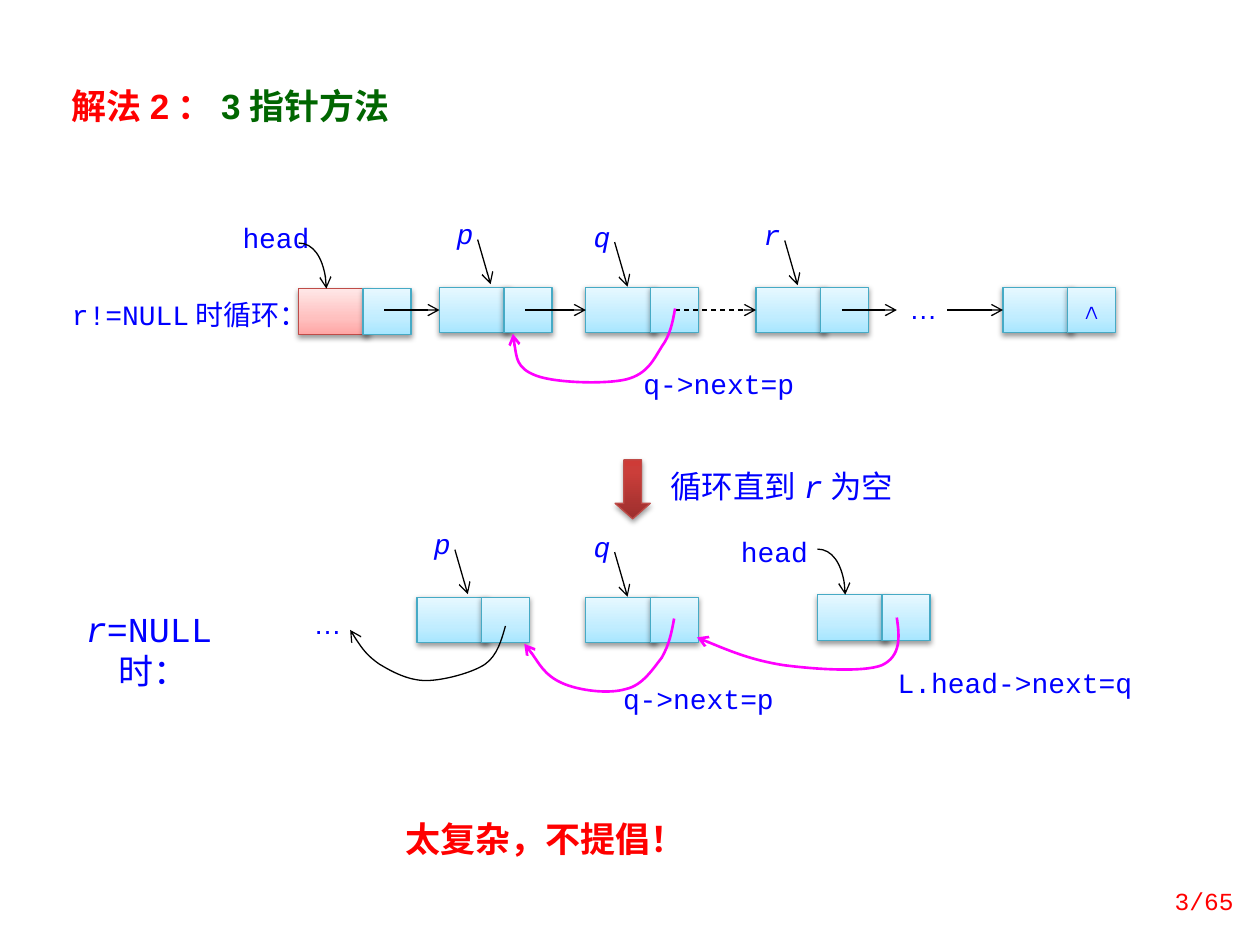
from copy import deepcopy
from dataclasses import dataclass

from lxml.etree import SubElement
from pptx import Presentation
from pptx.dml.color import RGBColor
from pptx.enum.dml import MSO_LINE_DASH_STYLE as Dash
from pptx.enum.shapes import MSO_CONNECTOR as Connector, MSO_SHAPE as Preset
from pptx.enum.text import MSO_ANCHOR as Anchor, PP_ALIGN as Align
from pptx.oxml.ns import qn
from pptx.util import Cm, Pt


@dataclass(frozen=True)
class Theme:
    """Colours, fonts and sizes of the slide."""
    red: str = "FF0000"
    green: str = "006600"
    blue: str = "0000FF"
    pink: str = "FF00FF"
    black: str = "000000"
    white: str = "FFFFFF"
    cell_edge: str = "46AAC5"
    head_edge: str = "BF4C48"
    cell_fill: tuple = ((0, "A7E6FF"), (0.35, "C1EDFF"), (1, "E7F8FF"))
    head_fill: tuple = ((0, "FFA6A5"), (0.35, "FFC0BF"), (1, "FFE7E7"))
    step_fill: tuple = ((0, "9C2F2D"), (0.8, "CB3E3A"), (1, "CE3B37"))
    code: str = "Courier New"
    sans: str = "Arial"
    cjk: str = "Noto Sans CJK SC"
    heading: int = 20
    note: int = 18
    body: int = 16
    footer: int = 14


THEME = Theme()


@dataclass
class Run:
    """A stretch of text in one style."""
    text: str
    size: int = THEME.body
    color: str = THEME.blue
    font: str = THEME.code
    bold: bool = False
    italic: bool = False


class ListDiagram:
    """Draws linked-list parts on one slide."""

    def __init__(self, slide, theme):
        self.shapes = slide.shapes
        self.theme = theme

    def fill_text(self, frame, runs, align, inset=(0, 0, 0, 0), anchor=Anchor.TOP):
        """Fill a text frame with one paragraph of runs."""
        frame.word_wrap = True
        frame.vertical_anchor = anchor
        frame.margin_left, frame.margin_top, frame.margin_right, frame.margin_bottom = map(Cm, inset)
        paragraph = frame.paragraphs[0]
        paragraph.alignment = align
        for piece in runs:
            run = paragraph.add_run()
            run.text = piece.text
            font = run.font
            font.size, font.bold, font.italic = Pt(piece.size), piece.bold, piece.italic
            font.color.rgb = RGBColor.from_string(piece.color)
            font.name = piece.font
            SubElement(run._r.get_or_add_rPr(), qn("a:ea"), typeface=self.theme.cjk)
        return paragraph

    def text(self, x, y, w, h, *runs, align=Align.LEFT, anchor=Anchor.TOP):
        """Add a plain text box."""
        box = self.shapes.add_textbox(*map(Cm, (x, y, w, h)))
        return self.fill_text(box.text_frame, runs, align, (0.25, 0.13, 0.25, 0.13), anchor)

    def label(self, x, y, w, *runs):
        """Add a centred label on white."""
        plate = self.shapes.add_shape(Preset.RECTANGLE, *map(Cm, (x, y, w, 0.74)))
        plate.shadow.inherit = False
        plate.fill.solid()
        plate.fill.fore_color.rgb = RGBColor.from_string(self.theme.white)
        plate.line.fill.background()
        self.fill_text(plate.text_frame, runs, Align.CENTER)

    def block(self, preset, x, y, w, h, stops, edge):
        """Add a shaded preset shape with a soft shadow."""
        block = self.shapes.add_shape(preset, *map(Cm, (x, y, w, h)))
        block.fill.gradient()
        block.fill.gradient_angle = 90
        stop_list = block._element.spPr.find(f".//{qn('a:gsLst')}")
        stop_list.append(deepcopy(stop_list[0]))
        for stop, (position, color) in zip(block.fill.gradient_stops, stops):
            stop.position = position
            stop.color.rgb = RGBColor.from_string(color)
        block.line.color.rgb = RGBColor.from_string(edge)
        block.line.width = Pt(0.75)
        block.shadow.inherit = False
        effects = block._element.spPr.find(qn("a:effectLst"))
        shadow = SubElement(effects, qn("a:outerShdw"), blurRad=str(Pt(3.1)), dist=str(Pt(1.6)),
                            dir="5400000", rotWithShape="0")
        tint = SubElement(shadow, qn("a:srgbClr"), val=self.theme.black)
        SubElement(tint, qn("a:alpha"), val="38000")
        return block

    def node(self, x, y, head=False, mark=None):
        """Add a list node and return its data cell."""
        t = self.theme
        fill, edge = (t.head_fill, t.head_edge) if head else (t.cell_fill, t.cell_edge)
        data = self.block(Preset.RECTANGLE, x, y, 1.43, 0.92, fill, edge)
        link = self.block(Preset.RECTANGLE, x + 1.3, y, 0.97, 0.92, t.cell_fill, t.cell_edge)
        if mark:
            self.fill_text(link.text_frame, [Run(mark)], Align.CENTER, (0, 0.08, 0, 0))
        return data

    def stroke(self, item, color, width):
        """Style a line and give it an arrowhead."""
        item.line.color.rgb = RGBColor.from_string(color)
        item.line.width = Pt(width)
        SubElement(item.line._get_or_add_ln(), qn("a:tailEnd"), type="arrow")

    def arrow(self, x1, y1, x2, y2, target=None, dashed=False):
        """Add a straight arrow, joined to a target cell if given."""
        arrow = self.shapes.add_connector(Connector.STRAIGHT, *map(Cm, (x1, y1, x2, y2)))
        if target is not None:
            arrow.end_connect(target, 1)
        if dashed:
            arrow.line.dash_style = Dash.DASH
        self.stroke(arrow, self.theme.black, 0.75)
        SubElement(arrow._element.spPr, qn("a:effectLst"))

    def curve(self, points, color, width):
        """Add a cubic curve: a start, then three points per segment."""
        start, *rest = [(Cm(x), Cm(y)) for x, y in points]
        builder = self.shapes.build_freeform(*start)
        builder.add_line_segments(rest, close=False)
        curve = builder.convert_to_shape()
        curve.shadow.inherit = False
        curve.fill.background()
        route = curve._element.spPr.find(f".//{qn('a:path')}")
        legs = route.findall(qn("a:lnTo"))
        for first in range(0, len(legs), 3):
            bend = SubElement(route, qn("a:cubicBezTo"))
            for leg in legs[first:first + 3]:
                bend.append(leg[0])
                route.remove(leg)
        self.stroke(curve, color, width)

    def head_arc(self, x, y):
        """Add the arc pointing at the head node placed at x, y."""
        arc = [(x, y - 0.92), (x + 0.3, y - 0.92), (x + 0.56, y - 0.51), (x + 0.56, y)]
        self.curve(arc, self.theme.black, 0.75)

    def pointer(self, name, x, y):
        """Add a named pointer with its slanted arrow."""
        self.label(x, y, 0.91, Run(name, italic=True))
        self.arrow(x + 0.71, y + 0.46, x + 0.97, y + 1.36)


def main():
    """Build the slide and save it."""
    t = THEME
    deck = Presentation()
    deck.slide_width, deck.slide_height = Cm(25.4), Cm(19.05)
    diagram = ListDiagram(deck.slides.add_slide(deck.slide_layouts[6]), t)

    diagram.text(1.19, 1.57, 8.13, 1.12, Run("解法2：", t.heading, t.red, t.sans, bold=True),
                 Run("3指针方法", t.heading, t.green, t.sans, bold=True))
    for words, x, y, w in (("q->next=p", 12.93, 7.39, 3.12), ("L.head->next=q", 17.5, 13.41, 5.92),
                           ("q->next=p", 12.52, 13.74, 3.12), ("head", 4.78, 4.45, 1.57),
                           ("head", 14.76, 10.77, 1.7), ("r!=NULL时循环：", 1.4, 5.99, 4.29)):
        diagram.label(x, y, w, Run(words))
    for x, y in ((18.03, 5.87), (6.02, 12.22)):
        diagram.label(x, y, 1.17, Run("…", font=t.sans))
    diagram.label(1.4, 12.24, 3.38, Run("r", t.heading, italic=True), Run("=NULL时：", t.heading))
    diagram.label(13.26, 9.42, 5, Run("循环直到", t.note), Run("r", t.note, italic=True), Run("为空", t.note))

    diagram.node(6.02, 5.82, head=True)
    p_node, q_node, r_node = (diagram.node(x, 5.79) for x in (8.86, 11.81, 15.24))
    last_node = diagram.node(20.22, 5.79, mark="∧")
    for x, y in ((8.41, 12.04), (11.81, 12.04), (16.48, 11.99)):
        diagram.node(x, y)

    link_y = 6.25
    for x, target in ((7.75, p_node), (10.59, q_node), (13.61, r_node), (19.1, last_node)):
        diagram.arrow(x, link_y, x + 1.1, link_y, target, dashed=target is r_node)
    diagram.arrow(16.97, link_y, 18.08, link_y)
    for name, x, y in (("p", 8.92, 4.37), ("q", 11.68, 4.42), ("r", 15.11, 4.39),
                       ("p", 8.46, 10.62), ("q", 11.68, 10.67)):
        diagram.pointer(name, x, y)
    diagram.head_arc(6.02, 5.82)
    diagram.head_arc(16.48, 11.99)

    q_to_p = [(13.61, 6.22), (13.56, 6.5), (13.51, 6.76), (13.34, 6.99), (13.18, 7.24), (13.06, 7.54),
              (12.62, 7.65), (12.19, 7.75), (11.18, 7.72), (10.8, 7.57), (10.41, 7.42), (10.39, 7.06),
              (10.34, 6.73)]
    final_q_to_p = [(13.59, 12.47), (13.54, 12.75), (13.49, 13), (13.34, 13.26), (13.16, 13.49),
                    (12.95, 13.82), (12.62, 13.89), (12.27, 14), (11.66, 13.92), (11.33, 13.77),
                    (10.97, 13.61), (10.72, 13.13), (10.57, 12.98)]
    head_to_q = [(18.08, 12.45), (18.14, 12.85), (18.16, 13.23), (17.78, 13.41), (17.4, 13.56),
                 (16.41, 13.49), (15.8, 13.41), (15.16, 13.31), (14.6, 13.08), (14.05, 12.85)]
    p_to_rest = [(10.19, 12.62), (10.11, 12.9), (10.03, 13.21), (9.78, 13.39), (9.53, 13.56),
                 (8.94, 13.72), (8.59, 13.72), (8.23, 13.72), (7.9, 13.54), (7.65, 13.39),
                 (7.39, 13.21), (7.21, 12.95), (7.06, 12.7)]
    for route in (q_to_p, final_q_to_p, head_to_q):
        diagram.curve(route, t.pink, 1.5)
    diagram.curve(p_to_rest, t.black, 0.75)

    step = diagram.block(Preset.DOWN_ARROW, 12.4, 9.27, 0.71, 1.19, t.step_fill, t.head_edge)
    step.adjustments[1] = 0.44
    verdict = diagram.text(7.92, 16.28, 6.55, 1.19, Run("太复杂，不提倡！", t.heading, t.red, t.cjk, bold=True))
    verdict.line_spacing = Pt(26)
    diagram.text(22.81, 17.65, 2.31, 1.02, Run("3/65", t.footer, t.red), align=Align.RIGHT, anchor=Anchor.MIDDLE)
    deck.save("out.pptx")


if __name__ == "__main__":
    main()
